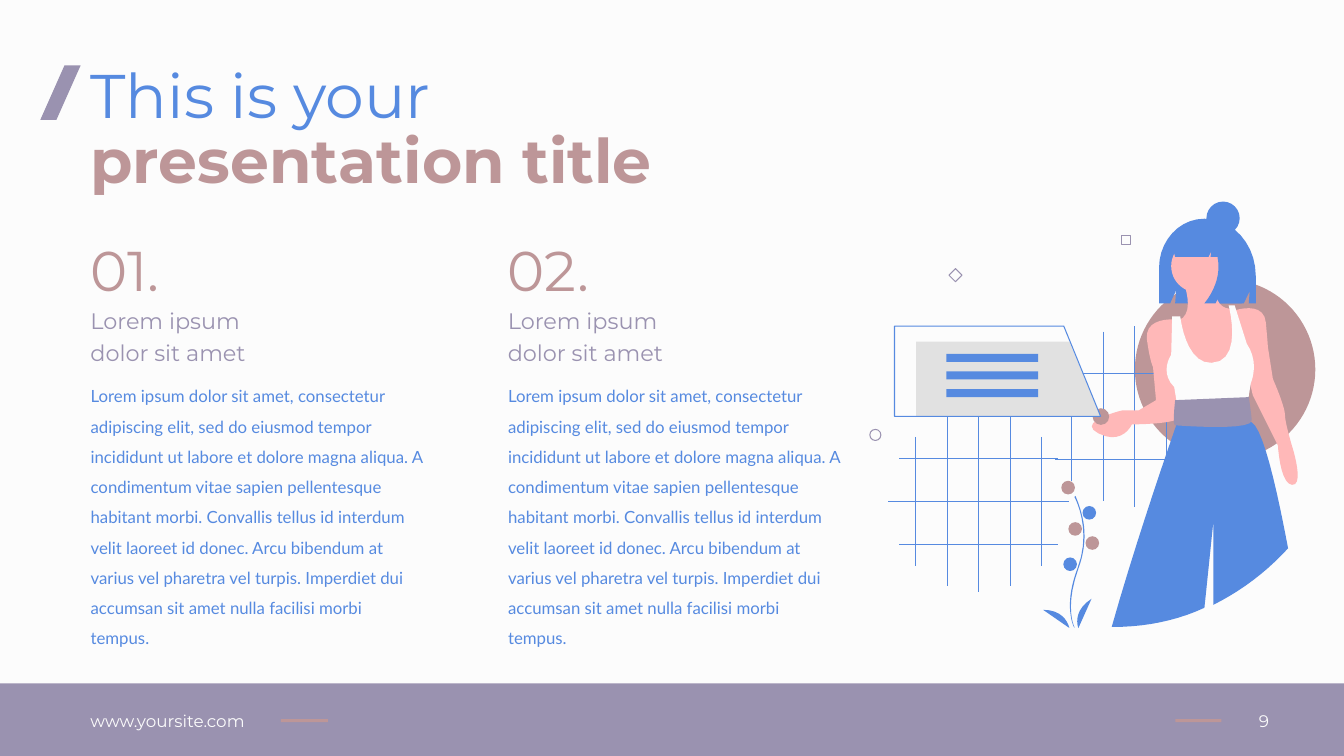
from lxml import etree
from pptx import Presentation
from pptx.dml.color import RGBColor
from pptx.enum.shapes import MSO_CONNECTOR, MSO_SHAPE
from pptx.enum.text import MSO_ANCHOR, MSO_AUTO_SIZE, PP_ALIGN
from pptx.oxml.ns import qn
from pptx.util import Cm, Pt

RECTANGLE, OVAL, DIAMOND = MSO_SHAPE.RECTANGLE, MSO_SHAPE.OVAL, MSO_SHAPE.DIAMOND
STRAIGHT = MSO_CONNECTOR.STRAIGHT
TOP, MIDDLE = MSO_ANCHOR.TOP, MSO_ANCHOR.MIDDLE
LEFT, RIGHT = PP_ALIGN.LEFT, PP_ALIGN.RIGHT
GROW = MSO_AUTO_SIZE.SHAPE_TO_FIT_TEXT

BLUE = RGBColor(0x56, 0x8A, 0xE0)
ROSE = RGBColor(0xBD, 0x96, 0x98)
MAUVE = RGBColor(0x9A, 0x92, 0xB0)
SKIN = RGBColor(0xFF, 0xB8, 0xB8)
PAPER = RGBColor(0xFC, 0xFC, 0xFC)
GREY = RGBColor(0xE1, 0xE1, 0xE1)
INK = RGBColor(0x3F, 0x3D, 0x56)

HEADING_FONT, BODY_FONT = "Montserrat", "Lato"
UNIT = Cm(2.54) // 100  # grid step of the illustration
CURVE_STEPS = 10

SUBHEADING = "Lorem ipsum\ndolor sit amet"
BODY = (
    "Lorem ipsum dolor sit amet, consectetur adipiscing elit, sed do eiusmod tempor "
    "incididunt ut labore et dolore magna aliqua. A condimentum vitae sapien "
    "pellentesque habitant morbi. Convallis tellus id interdum velit laoreet id donec. "
    "Arcu bibendum at varius vel pharetra vel turpis. Imperdiet dui accumsan sit amet "
    "nulla facilisi morbi tempus."
)

# Outlines in grid units: a pair is a corner, six numbers are a Bézier segment.
SLASH = [(56, 119), (40, 119), (64, 65), (80, 65)]
STEM = [(1066, 623), (1066, 623, 1063, 618, 1062, 608), (1061, 600, 1061, 585, 1069, 564),
        (1084, 525, 1066, 493, 1066, 493), (1067, 492), (1067, 492, 1071, 500, 1074, 513),
        (1078, 530, 1076, 548, 1070, 564), (1056, 603, 1066, 622, 1066, 622)]
RIGHT_LEAF = [(1070, 623), (1070, 623, 1063, 607, 1083, 594)]
LEFT_LEAF = [(1061, 623), (1061, 623, 1058, 605, 1035, 605)]
BACK_HAIR = [(1195, 217), (1170, 217, 1150, 239, 1150, 266), (1150, 301), (1161, 301),
             (1167, 288), (1166, 301), (1234, 301), (1240, 289), (1239, 301), (1246, 301),
             (1246, 274), (1246, 242, 1223, 217, 1195, 217)]
NECK = [(1174, 279), (1174, 279, 1187, 312, 1169, 318), (1187, 379), (1219, 377),
        (1227, 357), (1225, 326), (1223, 306), (1223, 306, 1203, 311, 1205, 276)]
BENT_ARM = [(1166, 317), (1166, 317, 1135, 314, 1138, 337), (1141, 359, 1144, 364, 1144, 364),
            (1147, 397), (1130, 407), (1114, 407), (1114, 407, 1066, 418, 1090, 430),
            (1114, 442, 1123, 421, 1123, 421), (1123, 421, 1167, 421, 1170, 414),
            (1173, 406, 1166, 317, 1166, 317)]
LOW_ARM = [(1225, 308), (1225, 308, 1254, 298, 1256, 320), (1258, 342, 1258, 344, 1258, 344),
           (1263, 376), (1263, 376, 1275, 403, 1275, 412), (1275, 420, 1283, 446, 1283, 446),
           (1283, 446, 1294, 482, 1282, 481), (1270, 480, 1268, 442, 1268, 442),
           (1243, 392), (1236, 362)]
SHIRT = [(1171, 314), (1163, 314), (1162, 352), (1162, 352, 1150, 369, 1165, 384),
         (1169, 408), (1237, 405), (1241, 380), (1241, 380, 1250, 360, 1237, 341),
         (1225, 303), (1219, 303), (1219, 303, 1234, 359, 1202, 360),
         (1176, 361, 1171, 314, 1171, 314)]
TROUSERS = [(1278, 544), (1257, 567, 1232, 586, 1204, 600), (1204, 553, 1204, 516, 1204, 516),
            (1204, 516, 1200, 555, 1195, 603), (1167, 616, 1136, 622, 1105, 622), (1103, 622),
            (1129, 530, 1166, 425, 1167, 422), (1173, 403), (1233, 402), (1240, 418),
            (1241, 418, 1241, 419, 1242, 419), (1253, 426, 1266, 480, 1278, 544)]
BELT = [(1239, 394), (1166, 397), (1166, 397, 1163, 422, 1166, 422),
        (1167, 422, 1243, 428, 1242, 417), (1241, 406, 1239, 394, 1239, 394)]
FRINGE = [(1208, 230), (1203, 225, 1197, 221, 1189, 221), (1188, 221),
          (1172, 221, 1158, 236, 1158, 255), (1163, 255), (1164, 248), (1166, 255), (1199, 255),
          (1202, 249), (1201, 255), (1208, 255), (1211, 270, 1207, 286, 1195, 301), (1206, 301),
          (1212, 289), (1210, 301), (1232, 301), (1236, 274), (1236, 254, 1224, 237, 1208, 230)]
CARD_SHADE = [(1092, 413), (909, 413), (909, 339), (1061, 339)]
CARD_EDGE = [(1092, 413), (887.5, 413), (887.5, 323.5), (1055.5, 323.5)]


def flatten(outline):
    """Return the outline's corners, with each Bézier segment cut into short lines."""
    points = [outline[0]]
    for step in outline[1:]:
        if len(step) == 2:
            points.append(step)
            continue
        start, ctrl1, ctrl2, end = points[-1], step[:2], step[2:4], step[4:]
        for i in range(1, CURVE_STEPS + 1):
            t = i / CURVE_STEPS
            s = 1 - t
            points.append(tuple(
                s**3 * a + 3 * s * s * t * b + 3 * s * t * t * c + t**3 * d
                for a, b, c, d in zip(start, ctrl1, ctrl2, end)))
    return [(round(x * UNIT), round(y * UNIT)) for x, y in points]


class SlideBuilder:
    def __init__(self, slide):
        self.slide = slide
        self.shapes = slide.shapes
        slide.background.fill.solid()
        slide.background.fill.fore_color.rgb = PAPER

    def start_group(self):
        self.shapes = self.slide.shapes.add_group_shape().shapes

    def paint(self, shape, fill, line):
        shape.shadow.inherit = False
        if fill is None:
            shape.fill.background()
        else:
            shape.fill.solid()
            shape.fill.fore_color.rgb = fill
        if line is None:
            shape.line.fill.background()
        else:
            shape.line.color.rgb = line
            shape.line.width = Pt(0.75)

    def preset(self, kind, x, y, width, height, fill=None, line=None):
        """Add a preset shape measured in grid units."""
        box = (round(n * UNIT) for n in (x, y, width, height))
        self.paint(self.shapes.add_shape(kind, *box), fill, line)

    def outline(self, outline, fill=None, line=None):
        start, *rest = flatten(outline)
        builder = self.shapes.build_freeform(*start, scale=1.0)
        builder.add_line_segments(rest, close=True)
        self.paint(builder.convert_to_shape(), fill, line)

    def line(self, x1, y1, x2, y2, color, width=0.75):
        connector = self.shapes.add_connector(STRAIGHT, *(round(n) for n in (x1, y1, x2, y2)))
        connector.line.color.rgb = color
        connector.line.width = Pt(width)
        etree.SubElement(connector._element.spPr, qn("a:effectLst"))
        return connector

    def lattice(self, center_x, center_y, accent):
        """Add five columns and three rows; accent colours the last column and middle row."""
        for i, half in enumerate((64, 84, 89.5, 84, 64)):
            x = center_x + (i - 2) * 31.25
            ends = (x, center_y - half, x, center_y + half)
            self.line(*(n * UNIT for n in ends), accent if i == 4 else BLUE)
        for i, half in enumerate((79, 89.5, 79)):
            y = center_y + (i - 1) * 42.5
            ends = (center_x - half, y, center_x + half, y)
            self.line(*(n * UNIT for n in ends), accent if i == 1 else BLUE)

    def text(self, words, box, size, color, font=HEADING_FONT, bold=False, spacing=1.0,
             align=LEFT, anchor=TOP, holder=None):
        """Write words into a placeholder, or into a new text box; box is in centimetres."""
        left, top, width, height = (Cm(n) for n in box)
        holder = holder or self.shapes.add_textbox(left, top, width, height)
        holder.left, holder.top, holder.width, holder.height = left, top, width, height
        frame = holder.text_frame
        frame.text = words
        frame.word_wrap = True
        frame.auto_size = GROW
        frame.vertical_anchor = anchor
        for paragraph in frame.paragraphs:
            paragraph.alignment = align
            paragraph.line_spacing = spacing
            paragraph.space_before = Pt(0)
            properties = paragraph._p.get_or_add_pPr()
            properties.set("marL", "0")
            properties.set("indent", "0")
            etree.SubElement(properties, qn("a:buNone"))
            for run in paragraph.runs:
                run.font.name, run.font.size, run.font.bold = font, Pt(size), bold
                run.font.color.rgb = color
        return holder


def main():
    deck = Presentation()
    deck.slide_width, deck.slide_height = Cm(33.87), Cm(19.05)
    slide = deck.slides.add_slide(deck.slide_layouts[3])
    page = SlideBuilder(slide)
    title, *columns = slide.placeholders

    page.preset(RECTANGLE, 0, 678, 1333.4, 72, MAUVE)
    number = page.text("9", (30.78, 17.65, 1.45, 1.02), 12, PAPER, align=RIGHT, anchor=MIDDLE)
    site = page.text("www.yoursite.com", (2.03, 17.65, 5.05, 1.02), 12, PAPER, anchor=MIDDLE)
    for label, side, dash_end in ((number, 1, 29.62), (site, 3, 8.26)):
        dash = page.line(0, 0, Cm(dash_end), Cm(18.16), ROSE, 2.25)
        dash.begin_connect(label, side)

    page.outline(SLASH, MAUVE)
    page.text("This is your", (2.03, 1.3, 21.01, 2.13), 44, BLUE, holder=title)
    page.text("presentation title", (2.03, 2.95, 15.09, 2.13), 44, ROSE, bold=True)
    for heading, left, column in zip(("01.", "02."), (2.03, 12.55), columns):
        page.text(heading, (left, 5.46, 2.74, 2.16), 40, ROSE, spacing=1.2)
        page.text(SUBHEADING, (left, 7.47, 7, 1.83), 16, MAUVE, spacing=1.2)
        page.text(BODY, (left, 9.35, 8.89, 6.32), 12, BLUE, BODY_FONT, spacing=1.5, holder=column)

    page.start_group()
    page.outline(STEM, BLUE)
    for x, y, color in ((1053, 477, ROSE), (1074, 502, BLUE), (1060, 518, ROSE),
                        (1077, 532, ROSE), (1055, 553, BLUE)):
        page.preset(OVAL, x, y, 13.5, 13.5, color)
    for leaf in (RIGHT_LEAF, LEFT_LEAF):
        page.outline(leaf, BLUE)

    page.lattice(971, 497.5, BLUE)
    page.preset(OVAL, 1126, 277, 179, 179, ROSE)
    page.lattice(1126, 413, INK)

    for part, color in ((BACK_HAIR, BLUE), (NECK, SKIN), (BENT_ARM, SKIN), (LOW_ARM, SKIN),
                        (SHIRT, PAPER), (TROUSERS, BLUE), (BELT, MAUVE)):
        page.outline(part, color)
    page.preset(OVAL, 1162, 238, 52, 52, SKIN)
    page.outline(FRINGE, BLUE)
    page.preset(OVAL, 1197, 200, 33, 33, BLUE)

    page.preset(OVAL, 1084, 405, 16.5, 16.5, ROSE)
    page.outline(CARD_SHADE, GREY)
    page.outline(CARD_EDGE, line=BLUE)
    for i in range(3):
        page.preset(RECTANGLE, 939, 351 + 17.5 * i, 91, 8, BLUE)
    for kind, x, y, size in ((OVAL, 863, 426, 11), (RECTANGLE, 1112.5, 233.5, 9),
                             (DIAMOND, 941.5, 266.5, 13)):
        page.preset(kind, x, y, size, size, line=MAUVE)

    deck.save("out.pptx")


if __name__ == "__main__":
    main()
